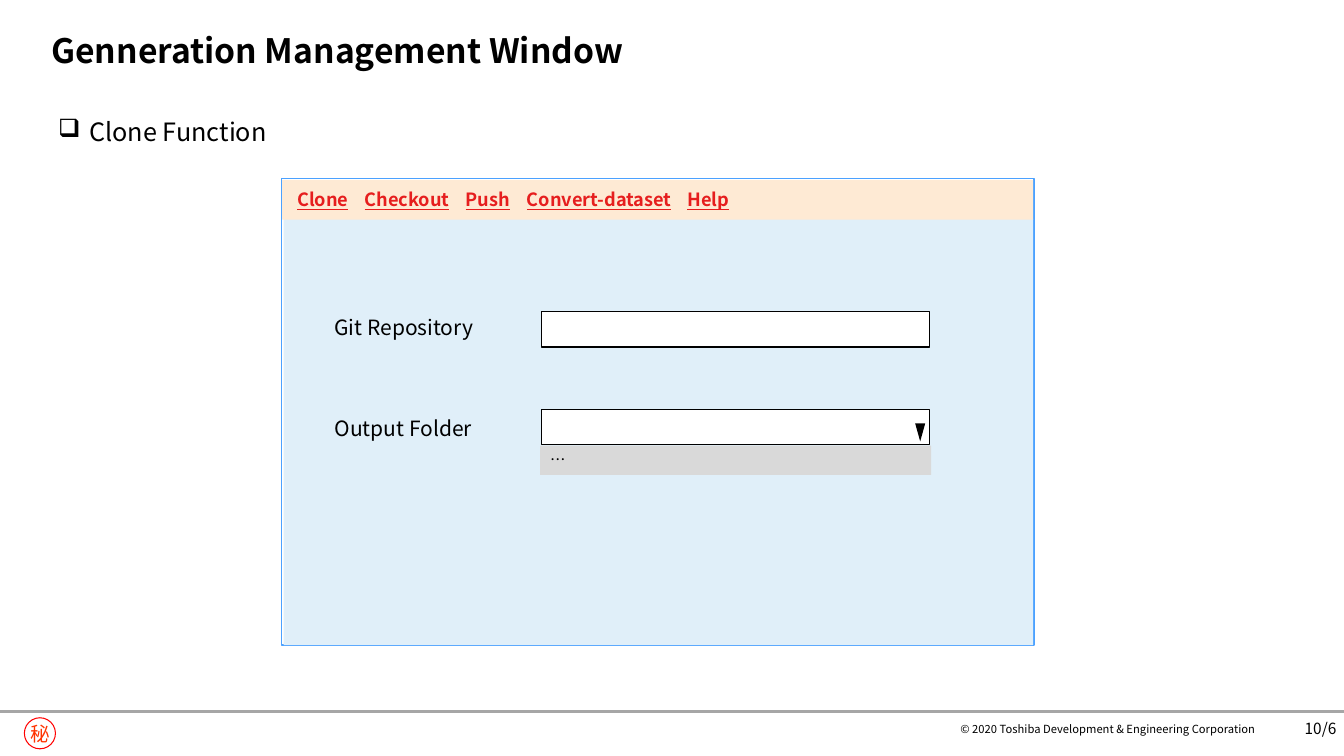
from lxml import etree
from pptx import Presentation, util as u
from pptx.dml.color import RGBColor
from pptx.enum import shapes, text
from pptx.oxml.ns import qn

COLS, ROWS = 160, 90
WIDTH, HEIGHT = u.Inches(13.333), u.Inches(7.5)
FONT = "Noto Sans CJK JP"
BLACK, RED = "000000", "E61E1E"
MID, RIGHT, CENTER = text.MSO_ANCHOR.MIDDLE, text.PP_ALIGN.RIGHT, text.PP_ALIGN.CENTER
RECT = shapes.MSO_SHAPE.RECTANGLE
NO_INSET = (0, 0, 0, 0)


def rgb(hex_code):
    """Turn a hex string into a colour."""
    return RGBColor.from_string(hex_code)


def assign(target, values):
    """Set each attribute named in a dict."""
    for name, value in values.items():
        setattr(target, name, value)


def place(box, left, top, width, height):
    """Turn grid cells relative to a box into slide lengths."""
    col, row = WIDTH / COLS, HEIGHT / ROWS
    return [int(n) for n in ((box[0] + left) * col, (box[1] + top) * row,
                             width * col, height * row)]


def add_run(p, words, size, color=BLACK, **fmt):
    """Add a formatted run to a paragraph."""
    r = p.add_run()
    r.text = words
    assign(r.font, {"size": u.Pt(size), "name": FONT, **fmt})
    r.font.color.rgb = rgb(color)
    etree.SubElement(r.font._element, qn("a:ea"), typeface=FONT)


def set_frame(sp, anchor=text.MSO_ANCHOR.TOP, align=text.PP_ALIGN.LEFT,
              inset=(0.1, 0.05, 0.1, 0.05), wrap=True):
    """Format a text frame and return its first paragraph."""
    tf = sp.text_frame
    sides = ("margin_left", "margin_top", "margin_right", "margin_bottom")
    assign(tf, {"vertical_anchor": anchor, "word_wrap": wrap,
                **{side: u.Inches(n) for side, n in zip(sides, inset)}})
    tf.paragraphs[0].alignment = align
    return tf.paragraphs[0]


def add_text(s, area, words, size, bold=False, **frame):
    """Add a text box and return its paragraph."""
    p = set_frame(s.shapes.add_textbox(*area), **frame)
    if words:
        add_run(p, words, size, bold=bold)
    return p


def add_block(s, area, fill=None, line=None, weight=1, kind=RECT):
    """Add a flat preset shape."""
    sp = s.shapes.add_shape(kind, *area)
    sp.shadow.inherit = False
    for part, color in ((sp.fill, fill), (sp.line.fill, line)):
        if color:
            part.solid()
            part.fore_color.rgb = rgb(color)
        else:
            part.background()
    if line:
        sp.line.width = u.Pt(weight)
    return sp


def add_footer(s, box):
    """Draw the rule, the mark, the copyright line and the page number."""
    mark = add_block(s, place(box, 2.9, 0.75, 3.7, 3.7), line="FF0000", weight=0.75,
                     kind=shapes.MSO_SHAPE.OVAL)
    p = set_frame(mark, anchor=MID, align=CENTER, inset=NO_INSET, wrap=False)
    add_run(p, "秘", 14, "FF3300")
    left, top, width, _ = place(box, 0, 0, COLS, 0)
    rule = s.shapes.add_connector(shapes.MSO_CONNECTOR.STRAIGHT, left, top, left + width, top)
    rule.line.color.rgb = rgb("A6A6A6")
    rule.line.width = u.Pt(1.5)
    etree.SubElement(rule._element.spPr, qn("a:effectLst"))
    add_text(s, place(box, 150.6, -0.35, 8.5, 4.8), "10/6", 11,
             anchor=MID, align=RIGHT, inset=NO_INSET)
    add_text(s, place(box, 111.7, 1.35, 37.8, 1.55),
             "© 2020 Toshiba Development & Engineering Corporation", 8,
             anchor=MID, align=RIGHT, inset=NO_INSET, wrap=False)


def add_heading(s, box):
    """Write the title and the bulleted topic."""
    p = add_text(s, place(box, 0, 0, 150.1, 9.85), "Genneration Management Window", 24,
                 bold=True, anchor=text.MSO_ANCHOR.BOTTOM, inset=(0.51, 0.12, 0.47, 0.12))
    p.line_spacing = 0.9
    p = add_text(s, place(box, 5.75, 13.3, 31.8, 4.8), "", 18)
    pPr = p._p.get_or_add_pPr()
    indent = u.Inches(0.31)
    pPr.set("marL", str(indent))
    pPr.set("indent", str(-indent))
    etree.SubElement(pPr, qn("a:buChar"), char="❑")
    add_run(p, "Clone Function", 18)


def add_menu(s, box):
    """Draw the menu bar with its underlined commands on tab stops."""
    add_block(s, place(box, 0, 0, 89.4, 4.7), fill="FEEAD4")
    p = add_text(s, place(box, 0.6, 0.4, 78, 3.84), "", 13)
    tabs = etree.SubElement(p._p.get_or_add_pPr(), qn("a:tabLst"))
    for stop in (0.63, 0.67, 1.59, 1.67, 2.2, 2.28, 3.87):
        etree.SubElement(tabs, qn("a:tab"), pos=str(u.Inches(stop)), algn="l")
    for command in ("Clone", "Checkout", "Push"):
        add_run(p, command + "\t", 13, RED, bold=True, underline=True)
        add_run(p, "\t", 13, bold=True)
    add_run(p, "Convert-dataset\tHelp", 13, RED, bold=True, underline=True)


def add_window(s, box):
    """Draw the application window with its menu, fields and open list."""
    add_block(s, place(box, 0, 0, 89.6, 55.55), fill="FFFFFF", line="4BA1FF")
    add_block(s, place(box, 0.25, 4.8, 89.25, 50.75), fill="E0EFF9")
    add_menu(s, (box[0] + 0.1, box[1] + 0.2))
    for i, label in enumerate(("Git Repository", "Output Folder")):
        add_text(s, place(box, 5.15, 15.6 + 12 * i, 26.2, 4.2), label, 15)
        add_block(s, place(box, 30.95, 15.85 + 11.65 * i, 46.2, 4.2),
                  fill="FFFFFF", line=BLACK)
    add_block(s, place(box, 75.45, 29.15, 1.2, 2.15), fill=BLACK,
              kind=shapes.MSO_SHAPE.FLOWCHART_MERGE)
    choices = add_block(s, place(box, 30.8, 31.8, 46.55, 3.5), fill="D9D9D9")
    add_run(set_frame(choices), "…", 11)


def main():
    """Build the slide and save it."""
    prs = Presentation()
    assign(prs, {"slide_width": WIDTH, "slide_height": HEIGHT})
    s = prs.slides.add_slide(prs.slide_layouts[6])
    add_footer(s, (0, 84.7))
    add_heading(s, (0, 0))
    add_window(s, (33.5, 21.25))
    prs.save("out.pptx")


if __name__ == "__main__":
    main()
